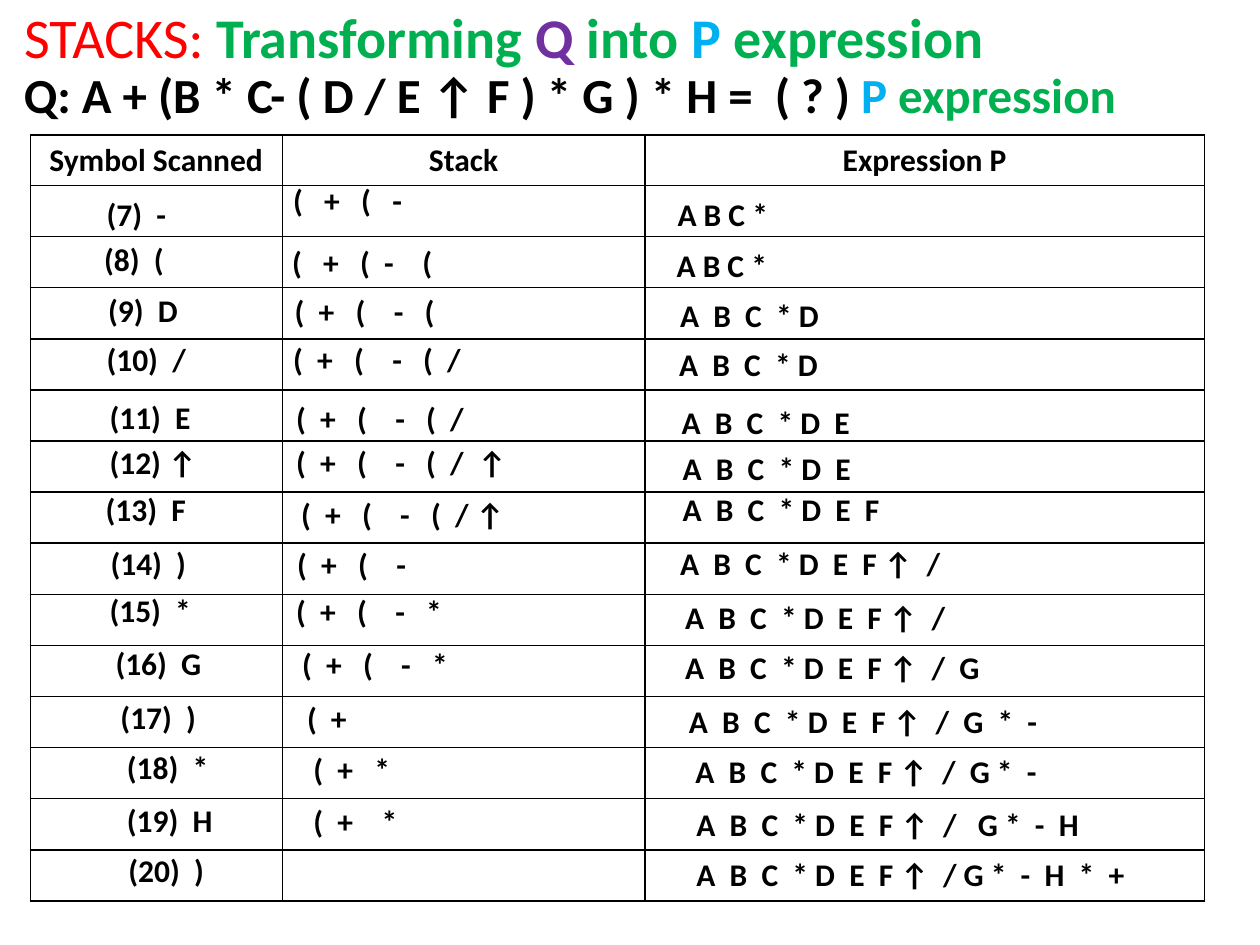
from lxml.etree import SubElement as Sub
from pptx import Presentation
from pptx.dml.color import RGBColor
from pptx.enum.text import MSO_ANCHOR as Anchor, MSO_AUTO_SIZE as Auto, PP_ALIGN as Align
from pptx.oxml.ns import qn
from pptx.util import Cm, Pt

RED = RGBColor(0xFF, 0x00, 0x00)
GREEN = RGBColor(0x00, 0xB0, 0x50)
PURPLE = RGBColor(0x70, 0x30, 0xA0)
BLUE = RGBColor(0x00, 0xB0, 0xF0)
BLACK = RGBColor(0x00, 0x00, 0x00)

BASE = {"name": "Calibri", "size": Pt(18), "bold": True}
HEADS = ["Symbol Scanned", "Stack", "Expression P"]
COLS = [5.08, 7.31, 11.28]
HEAD_H, ROW_H = 1.02, 1.03

TITLE = [("STACKS: ", RED, False), ("Transforming", GREEN, True), (" Q ", PURPLE, True),
         ("into ", GREEN, True), ("P", BLUE, True), (" expression", GREEN, True)]
QUERY = [("Q: A + (B * C- ( D / E ↑ F ) * G ) * H =  ( ? ) ", BLACK, True),
         ("P", BLUE, True), (" expression", GREEN, True)]

SCANS = [
    (1.9, 3.81, 1.88, "(7)  -"),
    (1.85, 4.72, 1.88, "(8)  ("),
    (1.93, 5.74, 2.08, "(9)  D"),
    (1.9, 6.73, 2.29, "(10)  /"),
    (1.96, 7.9, 2.31, "(11)  E"),
    (1.96, 8.81, 2.44, "(12) ↑"),
    (1.88, 9.75, 2.29, "(13)  F"),
    (1.98, 10.85, 2.21, "(14)  )"),
    (1.96, 11.79, 2.34, "(15)  *"),
    (2.08, 12.85, 2.41, "(16)  G"),
    (2.18, 13.94, 2.21, "(17)  )"),
    (2.31, 14.96, 2.34, "(18)  *"),
    (2.31, 16.03, 2.41, "(19)  H"),
    (2.34, 17.04, 2.21, "(20)  )"),
]
STACKS = [
    (5.66, 3.53, 2.74, "(   +   (   -"),
    (5.64, 4.78, 3.68, "(   +   (  -    ("),
    (5.69, 5.77, 3.4, "(  +   (    -   ("),
    (5.66, 6.73, 3.96, "(  +   (    -   (  /"),
    (5.72, 7.92, 3.96, "(  +   (    -   (  /"),
    (5.72, 8.81, 4.83, "(  +   (    -   (  /  ↑"),
    (5.82, 9.86, 4.7, "(  +   (    -   (  / ↑"),
    (5.74, 10.87, 2.74, "(  +   (    -"),
    (5.72, 11.81, 3.51, "(  +   (    -   *"),
    (5.84, 12.88, 3.51, "(  +   (    -   *"),
    (5.94, 13.97, 1.63, "(  +"),
    (6.07, 14.99, 2.08, "(  +   *"),
    (6.07, 16.05, 2.24, "(  +    *"),
]
TERMS = [
    (13.41, 3.81, 2.79, "A B C *"),
    (13.39, 4.83, 3.43, "A B C *"),
    (13.46, 5.84, 3.63, "A  B  C  * D"),
    (13.44, 6.83, 3.63, "A  B  C  * D"),
    (13.49, 8, 3.94, "A  B  C  * D  E"),
    (13.51, 8.92, 3.94, "A  B  C  * D  E"),
    (13.51, 9.75, 4.9, "A  B  C  * D  E  F"),
    (13.46, 10.85, 7.29, "A  B  C  * D  E  F ↑  /"),
    (13.56, 11.94, 7.29, "A  B  C  * D  E  F ↑  /"),
    (13.56, 12.93, 7.29, "A  B  C  * D  E  F ↑  /  G"),
    (13.64, 14.02, 9.25, "A  B  C  * D  E  F ↑  /  G  *  -"),
    (13.77, 15.04, 9.83, "A  B  C  * D  E  F ↑  /  G *  -"),
    (13.79, 16.1, 10.11, "A  B  C  * D  E  F ↑  /   G *  -  H"),
    (13.79, 17.12, 9.8, "A  B  C  * D  E  F ↑  / G *  -  H  *  +"),
]


def style(font, color, **more):
    for key, val in {**BASE, **more}.items():
        setattr(font, key, val)
    font.color.rgb = color


def write(para, runs, size):
    for text, color, bold in runs:
        run = para.add_run()
        run.text = text
        style(run.font, color, size=Pt(size), bold=bold)


def place(shape, left, top, width, height):
    spot = {"left": left, "top": top, "width": width, "height": height}
    for key, val in spot.items():
        setattr(shape, key, Cm(val))


def add_title(slide):
    title = slide.shapes.title
    place(title, 0.23, -0.08, 22.68, 1.63)
    look = {"word_wrap": True, "auto_size": Auto.SHAPE_TO_FIT_TEXT,
            "vertical_anchor": Anchor.TOP}
    for key, val in look.items():
        setattr(title.text_frame, key, val)
    para = title.text_frame.paragraphs[0]
    para.alignment = Align.LEFT
    write(para, TITLE, 32)


def add_text(slide, left, top, width, height, runs, size=18, wrap=True):
    box = slide.shapes.add_textbox(Cm(left), Cm(top), Cm(width), Cm(height))
    box.text_frame.word_wrap = wrap
    box.text_frame.auto_size = Auto.SHAPE_TO_FIT_TEXT
    write(box.text_frame.paragraphs[0], runs, size)


def rule(cell):
    props = cell._tc.get_or_add_tcPr()
    for side in ("lnL", "lnR", "lnT", "lnB"):
        line = Sub(props, qn("a:" + side), w=str(Pt(1)))
        fill = Sub(line, qn("a:solidFill"))
        Sub(fill, qn("a:srgbClr"), val=str(BLACK))
    cell.fill.background()


def add_grid(slide):
    count = len(SCANS)
    frame = slide.shapes.add_table(count + 1, len(COLS), Cm(0.61), Cm(2.72),
                                   Cm(sum(COLS)), Cm(HEAD_H + count * ROW_H))
    table = frame.table
    table.first_row = table.horz_banding = False
    for col, width in zip(table.columns, COLS):
        col.width = Cm(width)
    for i, row in enumerate(table.rows):
        row.height = Cm(ROW_H if i else HEAD_H)
        for cell in row.cells:
            rule(cell)
    for cell, text in zip(table.rows[0].cells, HEADS):
        para = cell.text_frame.paragraphs[0]
        para.alignment = Align.CENTER
        write(para, [(text, BLACK, True)], 18)


def main():
    deck = Presentation()
    deck.slide_width, deck.slide_height = Cm(25.4), Cm(19.05)
    slide = deck.slides.add_slide(deck.slide_layouts[5])
    add_title(slide)
    add_text(slide, 0.23, 1.17, 25.17, 1.45, QUERY, 28)
    add_grid(slide)
    for items, wrap in ((SCANS, False), (STACKS, False), (TERMS, True)):
        for left, top, width, text in items:
            add_text(slide, left, top, width, 1.02, [(text, BLACK, True)], wrap=wrap)
    deck.save("out.pptx")


if __name__ == "__main__":
    main()
